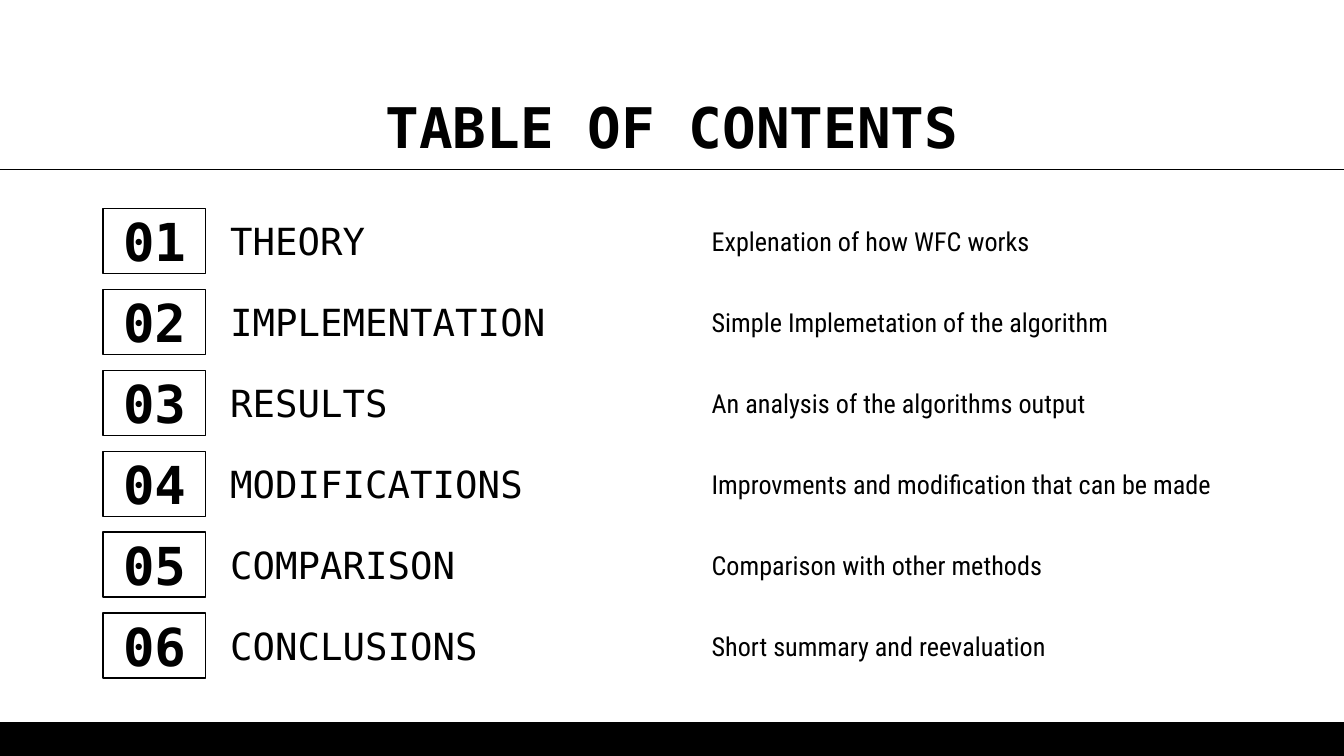
from lxml.etree import SubElement
from pptx import Presentation
from pptx.dml.color import RGBColor
from pptx.enum.shapes import MSO_CONNECTOR, MSO_SHAPE
from pptx.enum.text import MSO_ANCHOR, PP_ALIGN
from pptx.oxml.ns import qn
from pptx.util import Cm, Pt

# Content
TITLE = "TABLE OF CONTENTS"
CHAPTERS = [
    ("THEORY", "Explenation of how WFC works"),
    ("IMPLEMENTATION", "Simple Implemetation of the algorithm"),
    ("RESULTS", "An analysis of the algorithms output"),
    ("MODIFICATIONS", "Improvments and modification that can be made"),
    ("COMPARISON", "Comparison with other methods"),
    ("CONCLUSIONS", "Short summary and reevaluation"),
]

# Style and layout, in centimetres
BLACK = "000000"
MONO, CONDENSED = "DejaVu Sans Mono", "Roboto Condensed"
PAGE_WIDTH, PAGE_HEIGHT = 25.4, 14.29
FOOTER_HEIGHT = 0.64
RULE_TOP = 3.2
FIRST_ROW, ROW_STEP, ROW_HEIGHT = 3.94, 1.53, 1.23
NUMBER_LEFT, NUMBER_WIDTH = 1.95, 1.94
NAME_LEFT, NAME_WIDTH = 4.1, 8.89
SUMMARY_LEFT, SUMMARY_WIDTH = 13.2, 10.19
INSET = 0.25


def color(value):
    return RGBColor.from_string(value)


def add_rectangle(page, left, top, width, height):
    box = page.shapes.add_shape(
        MSO_SHAPE.RECTANGLE, Cm(left), Cm(top), Cm(width), Cm(height))
    box.shadow.inherit = False
    return box


def add_text_box(page, left, top, width, height):
    return page.shapes.add_textbox(Cm(left), Cm(top), Cm(width), Cm(height))


def write(box, text, font, size, bold=False, align=PP_ALIGN.LEFT,
          anchor=MSO_ANCHOR.MIDDLE):
    frame = box.text_frame
    frame.text = text
    frame.word_wrap = True
    frame.vertical_anchor = anchor
    frame.margin_left = frame.margin_right = Cm(INSET)
    frame.margin_top = frame.margin_bottom = Cm(INSET)
    para = frame.paragraphs[0]
    para.alignment = align
    span = para.runs[0]
    span.font.name, span.font.size, span.font.bold = font, Pt(size), bold
    span.font.color.rgb = color(BLACK)


deck = Presentation()
deck.slide_width, deck.slide_height = Cm(PAGE_WIDTH), Cm(PAGE_HEIGHT)
page = deck.slides.add_slide(deck.slide_layouts[6])

# Footer band
footer = add_rectangle(
    page, 0, PAGE_HEIGHT - FOOTER_HEIGHT, PAGE_WIDTH, FOOTER_HEIGHT)
footer.fill.solid()
footer.fill.fore_color.rgb = color(BLACK)
footer.line.fill.background()

# Title with the rule under it
title = add_text_box(page, 1.98, 1.5, PAGE_WIDTH - 2 * 1.98, 1.7)
write(title, TITLE, MONO, 30, True, PP_ALIGN.CENTER, MSO_ANCHOR.TOP)
rule = page.shapes.add_connector(
    MSO_CONNECTOR.STRAIGHT, Cm(0), Cm(RULE_TOP), Cm(PAGE_WIDTH), Cm(RULE_TOP))
rule.line.color.rgb = color(BLACK)
rule.line.width = Pt(0.75)
SubElement(rule._element.spPr, qn("a:effectLst"))

# One row per chapter: framed number, name, summary
for index, (name, summary) in enumerate(CHAPTERS):
    top = FIRST_ROW + index * ROW_STEP
    number = add_rectangle(page, NUMBER_LEFT, top, NUMBER_WIDTH, ROW_HEIGHT)
    number.fill.background()
    number.line.color.rgb = color(BLACK)
    number.line.width = Pt(0.75)
    write(number, f"{index + 1:02d}", MONO, 28, True, PP_ALIGN.CENTER)
    write(add_text_box(page, NAME_LEFT, top, NAME_WIDTH, ROW_HEIGHT),
          name, MONO, 20)
    write(add_text_box(page, SUMMARY_LEFT, top, SUMMARY_WIDTH, ROW_HEIGHT),
          summary, CONDENSED, 14)

deck.save("out.pptx")
